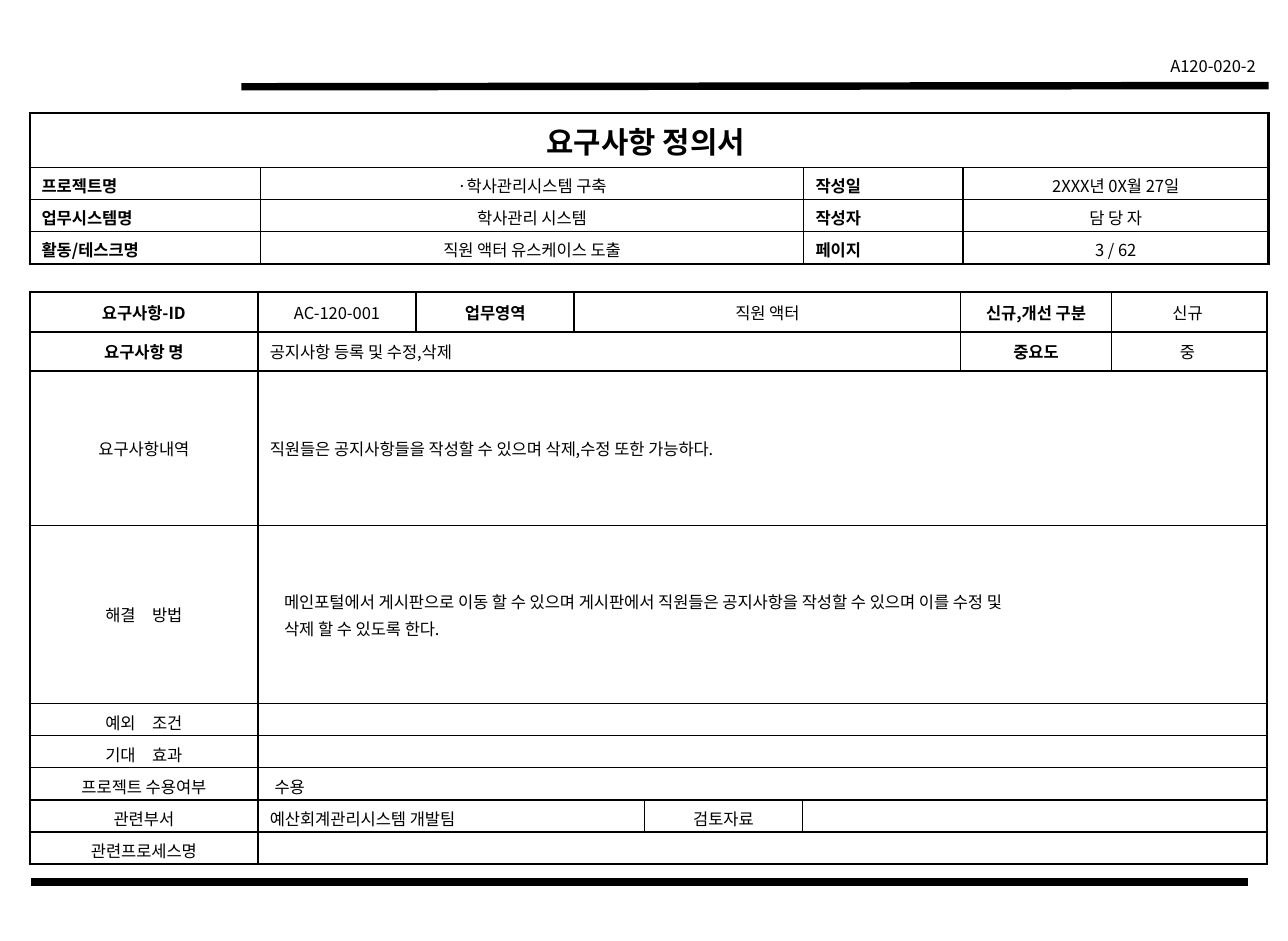
from lxml import etree
from pptx import Presentation
from pptx.dml.color import RGBColor
from pptx.enum.shapes import MSO_CONNECTOR
from pptx.enum.text import MSO_ANCHOR, PP_ALIGN
from pptx.oxml.ns import qn
from pptx.util import Inches, Pt

LEFT, CENTER = PP_ALIGN.LEFT, PP_ALIGN.CENTER
RIGHT, JUSTIFY = PP_ALIGN.RIGHT, PP_ALIGN.JUSTIFY
TOP, MIDDLE = MSO_ANCHOR.TOP, MSO_ANCHOR.MIDDLE
STRAIGHT = MSO_CONNECTOR.STRAIGHT
FONT = "Noto Sans CJK KR"
COLORS = {"ink": "000000"}
SHORT_ROW = 0.27

deck = Presentation()
deck.slide_width, deck.slide_height = Inches(65 / 6), Inches(95 / 12)
page = deck.slides.add_slide(deck.slide_layouts[6])


def style_paragraph(para, align, size=10, bold=False):
    para.alignment = align
    font = para.font
    font.name, font.size, font.bold = FONT, Pt(size), bold
    font.color.rgb = RGBColor.from_string(COLORS["ink"])
    font._element.set("kern", "0")
    etree.SubElement(font._element, qn("a:ea"), typeface=FONT)
    if not para.text:
        para._p.get_or_add_endParaRPr().set("sz", str(size * 100))


def add_grid(top, widths, heights, thick_rows, spans):
    """Add a ruled table; thick_rows lists 1.5 pt row edges, spans (row, column, width)."""
    table = page.shapes.add_table(
        len(heights), len(widths), Inches(0.25), Inches(top),
        Inches(sum(widths)), Inches(sum(heights))).table
    table.first_row = table.horz_banding = False
    for column, width in zip(table.columns, widths):
        column.width = Inches(width)
    for row, height in zip(table.rows, heights):
        row.height = Inches(height)
    for r, c, width in spans:
        table.cell(r, c).merge(table.cell(r, c + width - 1))
    for r, height in enumerate(heights):
        for c in range(len(widths)):
            cell = table.cell(r, c)
            thick = {"lnL": c == 0, "lnR": c + cell.span_width == len(widths),
                     "lnT": r in thick_rows, "lnB": r + 1 in thick_rows}
            properties = cell._tc.get_or_add_tcPr()
            for side, is_thick in thick.items():
                line = etree.SubElement(properties, qn(f"a:{side}"),
                                        w=str(Pt(1.5 if is_thick else 1)))
                fill = etree.SubElement(line, qn("a:solidFill"))
                etree.SubElement(fill, qn("a:srgbClr"), val=COLORS["ink"])
            cell.fill.background()
            if height == SHORT_ROW:
                cell.margin_bottom = Inches(0.01)
            style_paragraph(cell.text_frame.paragraphs[0], LEFT)
    return table


# Header and footer
for x1, y1, x2, y2 in [(2.03, 0.73, 10.67, 0.72), (0.26, 7.42, 10.5, 7.42)]:
    rule = page.shapes.add_connector(STRAIGHT, Inches(x1), Inches(y1), Inches(x2), Inches(y2))
    rule.line.width = Pt(4.5)
    rule.line.color.rgb = RGBColor.from_string(COLORS["ink"])
    etree.SubElement(rule._element.spPr, qn("a:effectLst"))

code_box = page.shapes.add_textbox(Inches(9.58), Inches(0.42), Inches(1.08), Inches(0.27))
code_box.text_frame.word_wrap = True
code_box.text_frame.text = "A120-020-2"
style_paragraph(code_box.text_frame.paragraphs[0], RIGHT)

# Document details
document_rows = [
    ["프로젝트명", "·학사관리시스템 구축", "작성일", "2XXX년 0X월 27일"],
    ["업무시스템명", "학사관리 시스템", "작성자", "담 당 자"],
    ["활동/테스크명", "직원 액터 유스케이스 도출", "페이지", "3 / 62"],
]
document_table = add_grid(0.95, [1.94, 4.57, 1.34, 2.57], [0.46] + [SHORT_ROW] * 3,
                          {0, 4}, [(0, 0, 4)])
title = document_table.cell(0, 0)
title.text = "요구사항 정의서 "
title.vertical_anchor = MIDDLE
style_paragraph(title.text_frame.paragraphs[0], CENTER, 18, True)
for r, texts in enumerate(document_rows, 1):
    for c, text in enumerate(texts):
        cell = document_table.cell(r, c)
        cell.text = text
        cell.vertical_anchor = TOP
        is_label = c % 2 == 0
        style_paragraph(cell.text_frame.paragraphs[0], JUSTIFY if is_label else CENTER, bold=is_label)

# Requirement: each row lists (column, text, columns spanned, alignment, bold, extra indent)
requirement_rows = [
    [(0, "요구사항-ID", 1, CENTER, True, 0), (1, "AC-120-001", 1, CENTER, False, 0),
     (2, "업무영역", 1, CENTER, True, 0), (3, "직원 액터", 3, CENTER, False, 0),
     (6, "신규,개선 구분", 1, CENTER, True, 0), (7, "신규 ", 1, CENTER, False, 0)],
    [(0, "요구사항 명", 1, CENTER, True, 0), (1, "공지사항 등록 및 수정,삭제", 5, LEFT, False, 0),
     (6, "중요도", 1, CENTER, True, 0), (7, "중 ", 1, CENTER, False, 0)],
    [(0, "요구사항내역", 1, CENTER, False, 0),
     (1, "직원들은 공지사항들을 작성할 수 있으며 삭제,수정 또한 가능하다.", 7, LEFT, False, 0)],
    [(0, "해결　방법", 1, CENTER, False, 0),
     (1, "메인포털에서 게시판으로 이동 할 수 있으며 게시판에서 직원들은 공지사항을 "
      "작성할 수 있으며 이를 수정 및\n삭제 할 수 있도록 한다.", 7, LEFT, False, 0.12)],
    [(0, "예외　조건", 1, CENTER, False, 0), (1, "", 7, LEFT, False, 0)],
    [(0, "기대　효과", 1, CENTER, False, 0), (1, "", 7, LEFT, False, 0)],
    [(0, "프로젝트 수용여부", 1, CENTER, False, 0), (1, "수용", 7, LEFT, False, 0.04)],
    [(0, "관련부서", 1, CENTER, False, 0), (1, "예산회계관리시스템 개발팀", 3, LEFT, False, 0),
     (4, "검토자료", 1, CENTER, False, 0), (5, "", 3, LEFT, False, 0)],
    [(0, "관련프로세스명", 1, CENTER, False, 0), (1, "", 7, LEFT, False, 0)],
]
requirement_spans = [(r, entry[0], entry[2]) for r, entries in enumerate(requirement_rows)
                     for entry in entries if entry[2] > 1]
requirement_table = add_grid(
    2.46, [1.92, 1.33, 1.33, 0.59, 1.33, 1.33, 1.27, 1.31],
    [0.33, 0.33, 1.3, 1.5] + [SHORT_ROW] * 5, {0, 1, 2, 9}, requirement_spans)
for r, entries in enumerate(requirement_rows):
    for c, text, columns, align, bold, indent in entries:
        if not text:
            continue
        cell = requirement_table.cell(r, c)
        cell.text = text
        cell.vertical_anchor = MIDDLE
        cell.margin_left = Inches(0.1 + indent)
        for number, para in enumerate(cell.text_frame.paragraphs):
            style_paragraph(para, align, bold=bold)
            if number:
                para.space_before = Pt(2)

deck.save("out.pptx")
